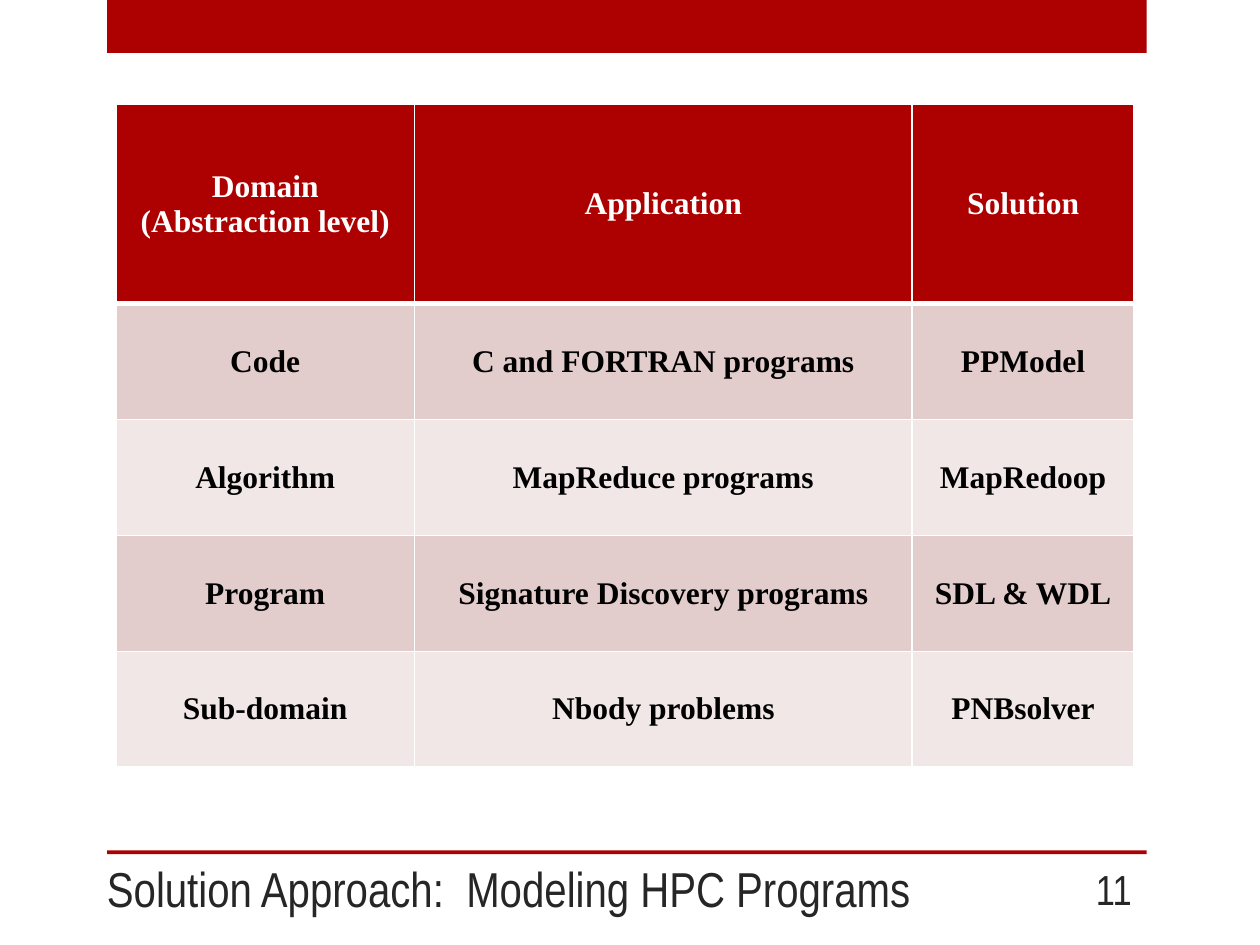
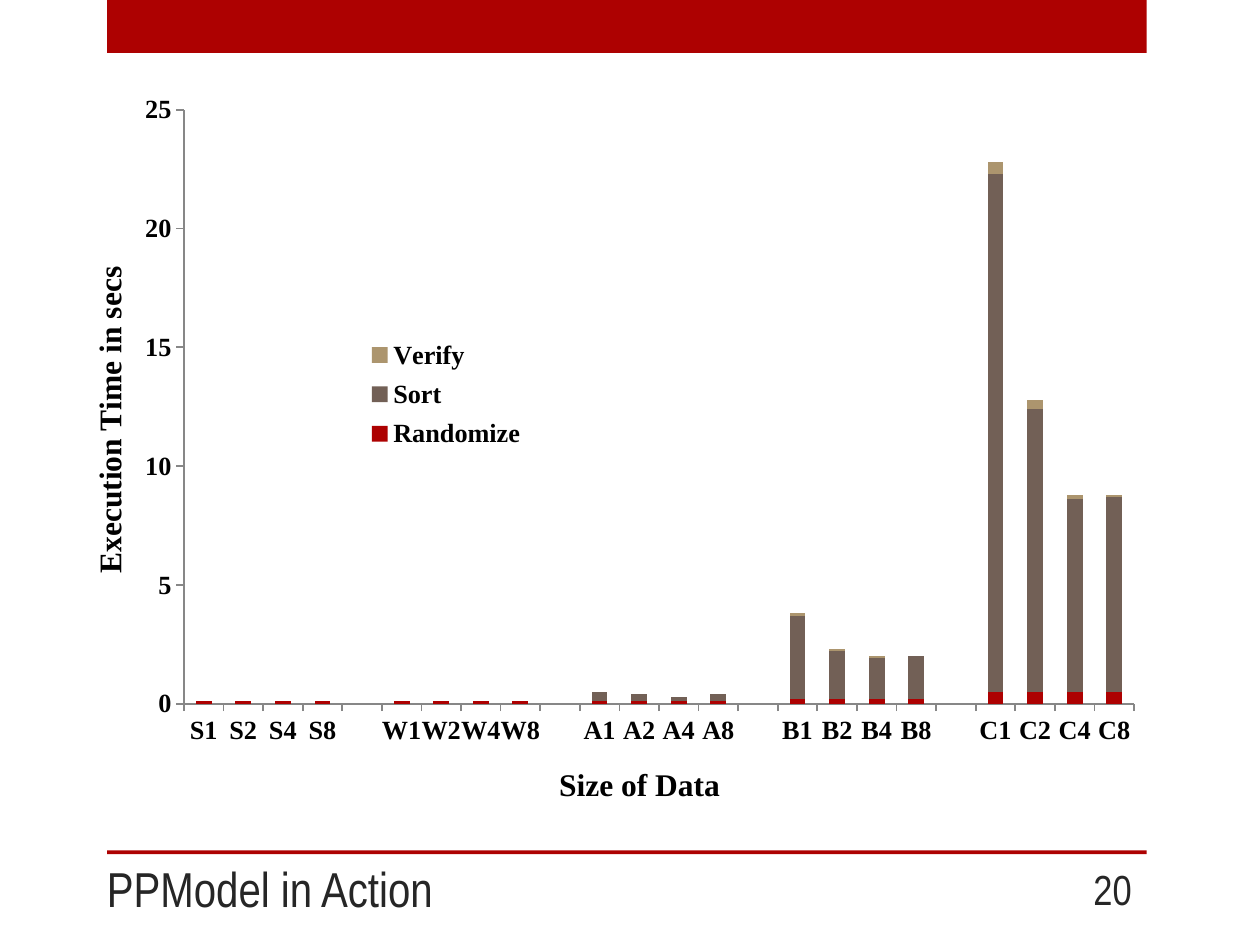
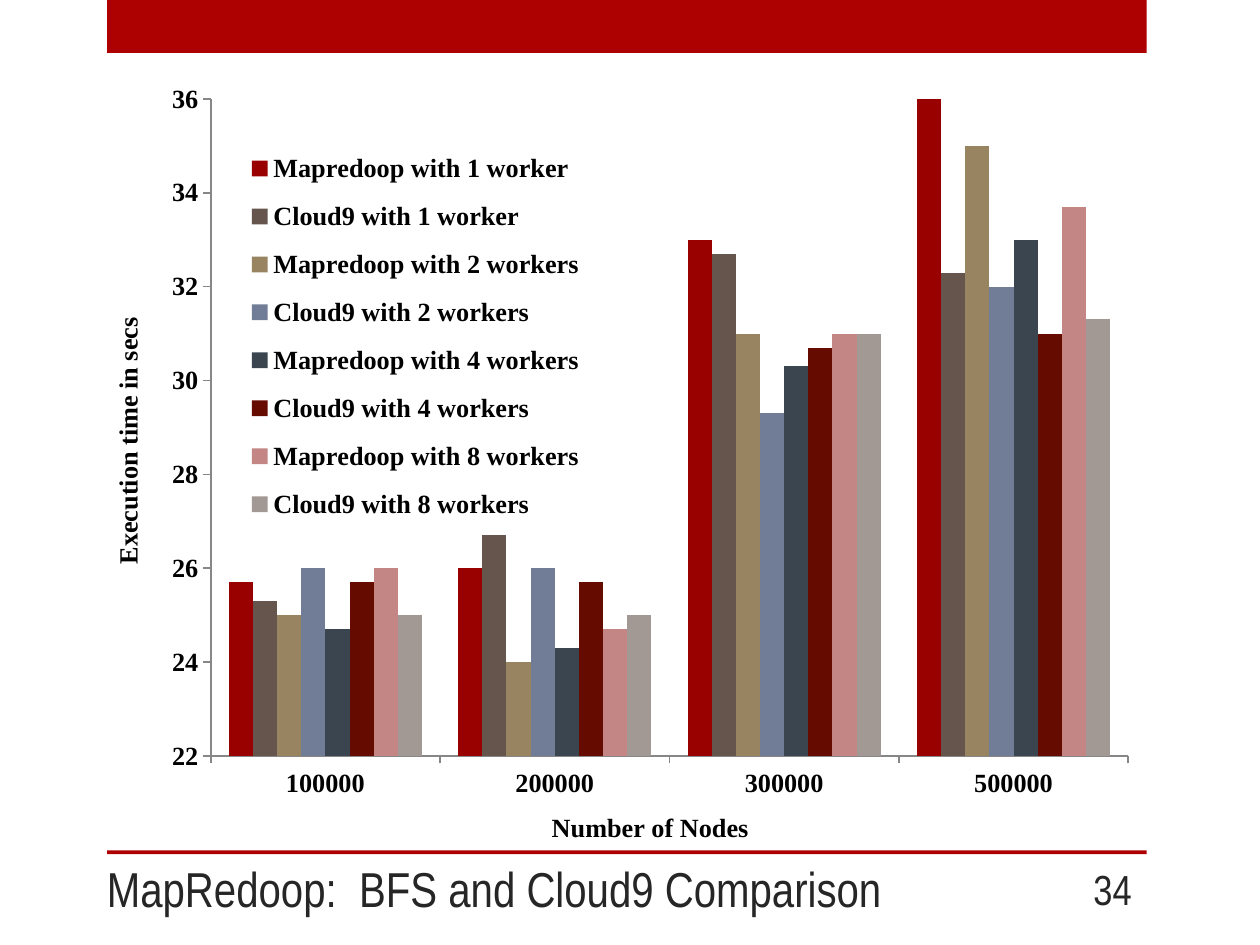
from dataclasses import dataclass
from typing import NamedTuple

from lxml.etree import SubElement
from pptx import Presentation
from pptx.chart.axis import _BaseAxis
from pptx.chart.chart import Chart
from pptx.chart.data import CategoryChartData
from pptx.dml.color import RGBColor
from pptx.enum.chart import XL_CHART_TYPE, XL_LEGEND_POSITION, XL_TICK_MARK
from pptx.enum.shapes import MSO_SHAPE
from pptx.enum.text import MSO_ANCHOR, PP_ALIGN
from pptx.oxml.ns import qn
from pptx.slide import Slide
from pptx.table import _Cell
from pptx.text.text import Font, TextFrame
from pptx.util import Inches, Pt


# Shared look
@dataclass(frozen=True)
class Theme:
    red: str = "AD0101"
    text: str = "262626"
    black: str = "000000"
    white: str = "FFFFFF"
    axis_line: str = "878787"
    row_fills: tuple[str, ...] = ("E3CCCC", "F1E7E7")
    heading_font: str = "Arial Narrow"
    content_font: str = "Times New Roman"
    title_size: float = 28
    number_size: float = 24
    large_size: float = 18
    label_size: float = 15


THEME = Theme()


class Box(NamedTuple):
    left: float
    top: float
    width: float
    height: float

    def lengths(self) -> list[int]:
        return [Inches(value) for value in self]


TOP_BAND = Box(0.85, 0, 8.25, 0.42)
BOTTOM_RULE = Box(0.85, 6.75, 8.25, 0.03)
TITLE_BOX = Box(0.75, 6.75, 7.42, 0.58)
NUMBER_BOX = Box(8.25, 6.85, 0.83, 0.4)


class Series(NamedTuple):
    name: str
    color: str
    values: list[float | None]


@dataclass(frozen=True)
class ColumnChart:
    kind: XL_CHART_TYPE
    box: Box
    plot: Box  # fractions of the chart area
    legend: Box  # fractions of the chart area
    categories: list[str]
    series: list[Series]
    category_title: str
    value_title: str
    axis_title_size: float
    minimum: float
    maximum: float
    major_unit: float
    overlap: int


# Text and frame helpers
def style_font(font: Font, name: str, size: float, color: str, bold: bool = False) -> None:
    font.name = name
    font.size = Pt(size)
    font.bold = bold
    font.color.rgb = RGBColor.from_string(color)


def add_run(frame: TextFrame, text: str, name: str, size: float, color: str,
            align: PP_ALIGN = PP_ALIGN.LEFT, bold: bool = False) -> None:
    paragraph = frame.paragraphs[0]
    paragraph.alignment = align
    run = paragraph.add_run()
    run.text = text
    style_font(run.font, name, size, color, bold)


def add_heading_text(slide: Slide, box: Box, text: str, size: float,
                     anchor: MSO_ANCHOR, align: PP_ALIGN) -> None:
    frame = slide.shapes.add_textbox(*box.lengths()).text_frame
    frame.word_wrap = True
    frame.vertical_anchor = anchor
    add_run(frame, text, THEME.heading_font, size, THEME.text, align)


def add_framed_slide(presentation: Presentation, title: str, number: int) -> Slide:
    slide = presentation.slides.add_slide(presentation.slide_layouts[6])
    for box in (TOP_BAND, BOTTOM_RULE):
        shape = slide.shapes.add_shape(MSO_SHAPE.RECTANGLE, *box.lengths())
        shape.shadow.inherit = False
        shape.fill.solid()
        shape.fill.fore_color.rgb = RGBColor.from_string(THEME.red)
        shape.line.fill.background()
    add_heading_text(slide, TITLE_BOX, title, THEME.title_size, MSO_ANCHOR.BOTTOM, PP_ALIGN.LEFT)
    add_heading_text(slide, NUMBER_BOX, str(number), THEME.number_size,
                     MSO_ANCHOR.MIDDLE, PP_ALIGN.RIGHT)
    return slide


# Table helpers
def set_borders(cell: _Cell, top: float, bottom: float) -> None:
    properties = cell._tc.get_or_add_tcPr()
    widths = {"a:lnL": 1, "a:lnR": 1, "a:lnT": top, "a:lnB": bottom}
    for index, (tag, width) in enumerate(widths.items()):
        line = SubElement(properties, qn(tag), w=str(Pt(width)))
        fill = SubElement(line, qn("a:solidFill"))
        SubElement(fill, qn("a:srgbClr"), val=THEME.white)
        properties.insert(index, line)


def add_solution_table(slide: Slide, box: Box, widths: list[float],
                       heights: list[float], rows: list[list[str]]) -> None:
    table = slide.shapes.add_table(len(rows), len(widths), *box.lengths()).table
    for column, width in zip(table.columns, widths):
        column.width = Inches(width)
    for row_index, (texts, height) in enumerate(zip(rows, heights)):
        table.rows[row_index].height = Inches(height)
        header = row_index == 0
        fill = THEME.red if header else THEME.row_fills[(row_index - 1) % 2]
        for column_index, text in enumerate(texts):
            cell = table.cell(row_index, column_index)
            cell.vertical_anchor = MSO_ANCHOR.MIDDLE
            cell.fill.solid()
            cell.fill.fore_color.rgb = RGBColor.from_string(fill)
            add_run(cell.text_frame, text, THEME.content_font, THEME.large_size,
                    THEME.white if header else THEME.black, PP_ALIGN.CENTER, bold=True)
            set_borders(cell, top=3 if row_index == 1 else 1, bottom=3 if header else 1)


# Chart helpers
def set_layout(element, box: Box, index: int, inner: bool = False) -> None:
    for old_layout in element.findall(qn("c:layout")):
        element.remove(old_layout)
    layout = SubElement(element, qn("c:layout"))
    manual = SubElement(layout, qn("c:manualLayout"))
    if inner:
        SubElement(manual, qn("c:layoutTarget"), val="inner")
    for tag in ("c:xMode", "c:yMode"):
        SubElement(manual, qn(tag), val="edge")
    for tag, value in zip(("c:x", "c:y", "c:w", "c:h"), box):
        SubElement(manual, qn(tag), val=str(value))
    element.insert(index, layout)


def style_axis(axis: _BaseAxis, title: str, title_size: float) -> None:
    axis.has_major_gridlines = False
    axis.major_tick_mark = XL_TICK_MARK.OUTSIDE
    axis.minor_tick_mark = XL_TICK_MARK.NONE
    axis.format.line.width = Pt(1)
    axis.format.line.color.rgb = RGBColor.from_string(THEME.axis_line)
    style_font(axis.tick_labels.font, THEME.content_font, THEME.label_size, THEME.black, True)
    add_run(axis.axis_title.text_frame, title, THEME.content_font, title_size,
            THEME.black, PP_ALIGN.CENTER, bold=True)


def style_legend(chart: Chart, box: Box) -> None:
    chart.has_legend = True
    legend = chart.legend
    legend.position = XL_LEGEND_POSITION.RIGHT
    legend.include_in_layout = False
    style_font(legend.font, THEME.content_font, THEME.label_size, THEME.black, True)
    set_layout(legend._element, box, 1)


def add_column_chart(slide: Slide, design: ColumnChart) -> None:
    data = CategoryChartData()
    data.categories = design.categories
    for series in design.series:
        data.add_series(series.name, series.values)
    chart = slide.shapes.add_chart(design.kind, *design.box.lengths(), data).chart
    chart.has_title = False
    style_font(chart.font, THEME.content_font, THEME.label_size, THEME.black)

    plot = chart.plots[0]
    plot.vary_by_categories = False
    plot.gap_width = 150
    plot.overlap = design.overlap
    for drawn, series in zip(plot.series, design.series):
        drawn.format.fill.solid()
        drawn.format.fill.fore_color.rgb = RGBColor.from_string(series.color)

    style_axis(chart.category_axis, design.category_title, design.axis_title_size)
    value_axis = chart.value_axis
    style_axis(value_axis, design.value_title, design.axis_title_size)
    value_axis.axis_title._element.find(".//" + qn("a:bodyPr")).set("rot", "-5400000")
    value_axis.minimum_scale = design.minimum
    value_axis.maximum_scale = design.maximum
    value_axis.major_unit = design.major_unit
    style_legend(chart, design.legend)
    set_layout(chart._chartSpace.find(".//" + qn("c:plotArea")), design.plot, 0, inner=True)


# Slide content
SOLUTIONS = [
    ["Domain (Abstraction level)", "Application", "Solution"],
    ["Code", "C and FORTRAN programs", "PPModel"],
    ["Algorithm", "MapReduce programs", "MapRedoop"],
    ["Program", "Signature Discovery programs", "SDL & WDL"],
    ["Sub-domain", "Nbody problems", "PNBsolver"],
]


def spaced(groups: list[list]) -> list:
    """Join the groups with one empty slot between neighbours."""
    joined = list(groups[0])
    for group in groups[1:]:
        joined += [None, *group]
    return joined


SIZE_LABELS = spaced([[f"{size}{workers}" for workers in (1, 2, 4, 8)] for size in "SWABC"])

SORT_TIMES = ColumnChart(
    kind=XL_CHART_TYPE.COLUMN_STACKED,
    box=Box(0.67, 0.75, 8.58, 5.75),
    plot=Box(0.092, 0.021, 0.879, 0.82),
    legend=Box(0.257, 0.325, 0.155, 0.178),
    categories=[label or "" for label in SIZE_LABELS],
    series=[
        Series("Randomize", "AD0101", spaced([[0.1] * 4] * 3 + [[0.2] * 4, [0.5] * 4])),
        Series("Sort", "726056", spaced([[0] * 4, [0] * 4, [0.4, 0.3, 0.2, 0.3],
                                         [3.5, 2, 1.7, 1.8], [21.8, 11.9, 8.1, 8.2]])),
        Series("Verify", "AC956E", spaced([[0] * 4] * 3 + [[0.1, 0.1, 0.1, 0],
                                                           [0.5, 0.4, 0.2, 0.1]])),
    ],
    category_title="Size of Data",
    value_title="Execution Time in secs",
    axis_title_size=THEME.large_size,
    minimum=0, maximum=25, major_unit=5, overlap=100,
)

SEARCH_TIMES = ColumnChart(
    kind=XL_CHART_TYPE.COLUMN_CLUSTERED,
    box=Box(0.67, 0.67, 8.42, 6.08),
    plot=Box(0.119, 0.019, 0.865, 0.858),
    legend=Box(0.147, 0.066, 0.33, 0.526),
    categories=["100000", "200000", "300000", "500000"],
    series=[
        Series("Mapredoop with 1 worker", "990000", [25.7, 26, 33, 36]),
        Series("Cloud9 with 1 worker", "65554C", [25.3, 26.7, 32.7, 32.3]),
        Series("Mapredoop with 2 workers", "998461", [25, 24, 31, 35]),
        Series("Cloud9 with 2 workers", "717D96", [26, 26, 29.3, 32]),
        Series("Mapredoop with 4 workers", "3A4550", [24.7, 24.3, 30.3, 33]),
        Series("Cloud9 with 4 workers", "650B00", [25.7, 25.7, 30.7, 31]),
        Series("Mapredoop with 8 workers", "C48585", [26, 24.7, 31, 33.7]),
        Series("Cloud9 with 8 workers", "A29994", [25, 25, 31, 31.3]),
    ],
    category_title="Number of Nodes",
    value_title="Execution time in secs",
    axis_title_size=THEME.label_size,
    minimum=22, maximum=36, major_unit=2, overlap=0,
)


def main() -> None:
    presentation = Presentation()
    presentation.slide_width = Inches(10)
    presentation.slide_height = Inches(7.5)

    slide = add_framed_slide(presentation, "Solution Approach:  Modeling HPC Programs", 11)
    add_solution_table(slide, Box(0.92, 0.83, 8.08, 5.25), [2.37, 3.95, 1.76],
                       [1.58] + [0.92] * 4, SOLUTIONS)

    slide = add_framed_slide(presentation, "PPModel in Action", 20)
    add_column_chart(slide, SORT_TIMES)

    slide = add_framed_slide(presentation, "MapRedoop:  BFS and Cloud9 Comparison", 34)
    add_column_chart(slide, SEARCH_TIMES)

    presentation.save("out.pptx")


if __name__ == "__main__":
    main()
